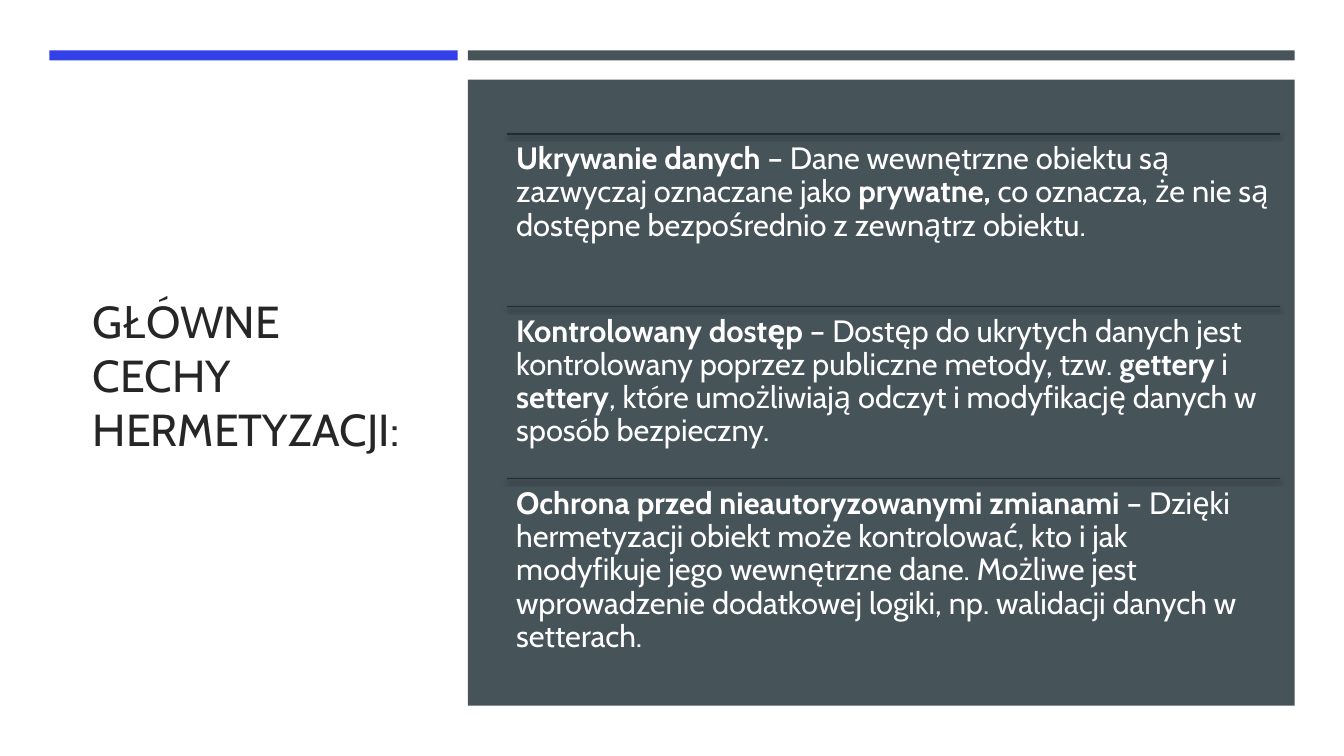
from typing import NamedTuple

from lxml import etree
from pptx import Presentation
from pptx.dml.color import RGBColor
from pptx.enum.shapes import MSO_CONNECTOR, MSO_SHAPE
from pptx.enum.text import MSO_ANCHOR
from pptx.oxml.ns import qn
from pptx.slide import Slide
from pptx.util import Inches, Pt

RECTANGLE = MSO_SHAPE.RECTANGLE
STRAIGHT = MSO_CONNECTOR.STRAIGHT
TOP, MIDDLE = MSO_ANCHOR.TOP, MSO_ANCHOR.MIDDLE

FONT = "Cabin"
WHITE, SLATE, BLUE = "FFFFFF", "465359", "3240E8"
TITLE_COLOR, RULE_COLOR, SHADOW_COLOR = "262626", "1B2F2C", "000000"

FEATURE_LEFT, FEATURE_TOP = 5.03, 1.33
FEATURE_WIDTH, FEATURE_HEIGHT = 7.67, 1.71


class Box(NamedTuple):
    left: float
    top: float
    width: float
    height: float


class Panel(NamedTuple):
    box: Box
    color: str


class Run(NamedTuple):
    text: str
    bold: bool = False


PANELS = [
    Panel(Box(0.49, 0.5, 4.05, 0.1), BLUE),
    Panel(Box(4.64, 0.5, 8.2, 0.1), SLATE),
    Panel(Box(4.64, 0.79, 8.2, 6.21), SLATE),
]

TITLE = [Run("GŁÓWNE CECHY HERMETYZACJI:")]

FEATURES = [
    [
        Run("Ukrywanie danych", bold=True),
        Run(" – Dane wewnętrzne obiektu są zazwyczaj oznaczane jako "),
        Run("prywatne,", bold=True),
        Run(" co oznacza, że nie są dostępne bezpośrednio z zewnątrz obiektu."),
    ],
    [
        Run("Kontrolowany dostęp", bold=True),
        Run(" – Dostęp do ukrytych danych jest kontrolowany poprzez "
            "publiczne metody, tzw. "),
        Run("gettery", bold=True),
        Run(" i "),
        Run("settery", bold=True),
        Run(", które umożliwiają odczyt i modyfikację danych w sposób bezpieczny."),
    ],
    [
        Run("Ochrona przed nieautoryzowanymi zmianami", bold=True),
        Run(" – Dzięki hermetyzacji obiekt może kontrolować, kto i jak "
            "modyfikuje jego wewnętrzne dane. Możliwe jest wprowadzenie "
            "dodatkowej logiki, np. walidacji danych w setterach."),
    ],
]


def rgb(color: str) -> RGBColor:
    return RGBColor.from_string(color)


def add_panel(slide: Slide, panel: Panel) -> None:
    shape = slide.shapes.add_shape(RECTANGLE, *map(Inches, panel.box))
    shape.shadow.inherit = False
    shape.fill.solid()
    shape.fill.fore_color.rgb = rgb(panel.color)
    shape.line.fill.background()


def add_text(slide: Slide, box: Box, runs: list[Run], *, size: float,
             color: str, anchor: MSO_ANCHOR = TOP, inset: float = 0.1,
             line_spacing: float = 1.0) -> None:
    frame = slide.shapes.add_textbox(*map(Inches, box)).text_frame
    frame.word_wrap = True
    frame.vertical_anchor = anchor
    frame.margin_left = frame.margin_right = Inches(inset)
    frame.margin_top = frame.margin_bottom = Inches(inset)
    paragraph = frame.paragraphs[0]
    paragraph.line_spacing = line_spacing
    for part in runs:
        run = paragraph.add_run()
        run.text = part.text
        run.font.name = FONT
        run.font.size = Pt(size)
        run.font.bold = part.bold
        run.font.color.rgb = rgb(color)


def add_rule(slide: Slide, left: float, top: float, width: float) -> None:
    rule = slide.shapes.add_connector(
        STRAIGHT, Inches(left), Inches(top), Inches(left + width), Inches(top))
    rule.line.color.rgb = rgb(RULE_COLOR)
    rule.line.width = Pt(1)

    # Soft shadow straight below the rule
    properties = rule.line._get_or_add_ln().getparent()
    effects = etree.SubElement(properties, qn("a:effectLst"))
    shadow = etree.SubElement(
        effects, qn("a:outerShdw"), blurRad=str(Pt(3)), dist=str(Pt(2)),
        dir="5400000", algn="ctr", rotWithShape="0")
    tint = etree.SubElement(shadow, qn("a:srgbClr"), val=SHADOW_COLOR)
    etree.SubElement(tint, qn("a:alpha"), val="55000")


def main() -> None:
    presentation = Presentation()
    presentation.slide_width = Inches(13.33)
    presentation.slide_height = Inches(7.5)
    slide = presentation.slides.add_slide(presentation.slide_layouts[6])

    # Background
    slide.background.fill.solid()
    slide.background.fill.fore_color.rgb = rgb(WHITE)

    # Title
    add_text(slide, Box(0.82, 1.14, 3.34, 5.15), TITLE,
             size=32, color=TITLE_COLOR, anchor=MIDDLE)

    # Accent bars and content panel
    for panel in PANELS:
        add_panel(slide, panel)

    # Features, each under its own rule
    for index, runs in enumerate(FEATURES):
        top = FEATURE_TOP + index * FEATURE_HEIGHT
        add_rule(slide, FEATURE_LEFT, top, FEATURE_WIDTH)
        add_text(slide, Box(FEATURE_LEFT, top, FEATURE_WIDTH, FEATURE_HEIGHT),
                 runs, size=22, color=WHITE, inset=0.09, line_spacing=0.9)

    presentation.save("out.pptx")


if __name__ == "__main__":
    main()
